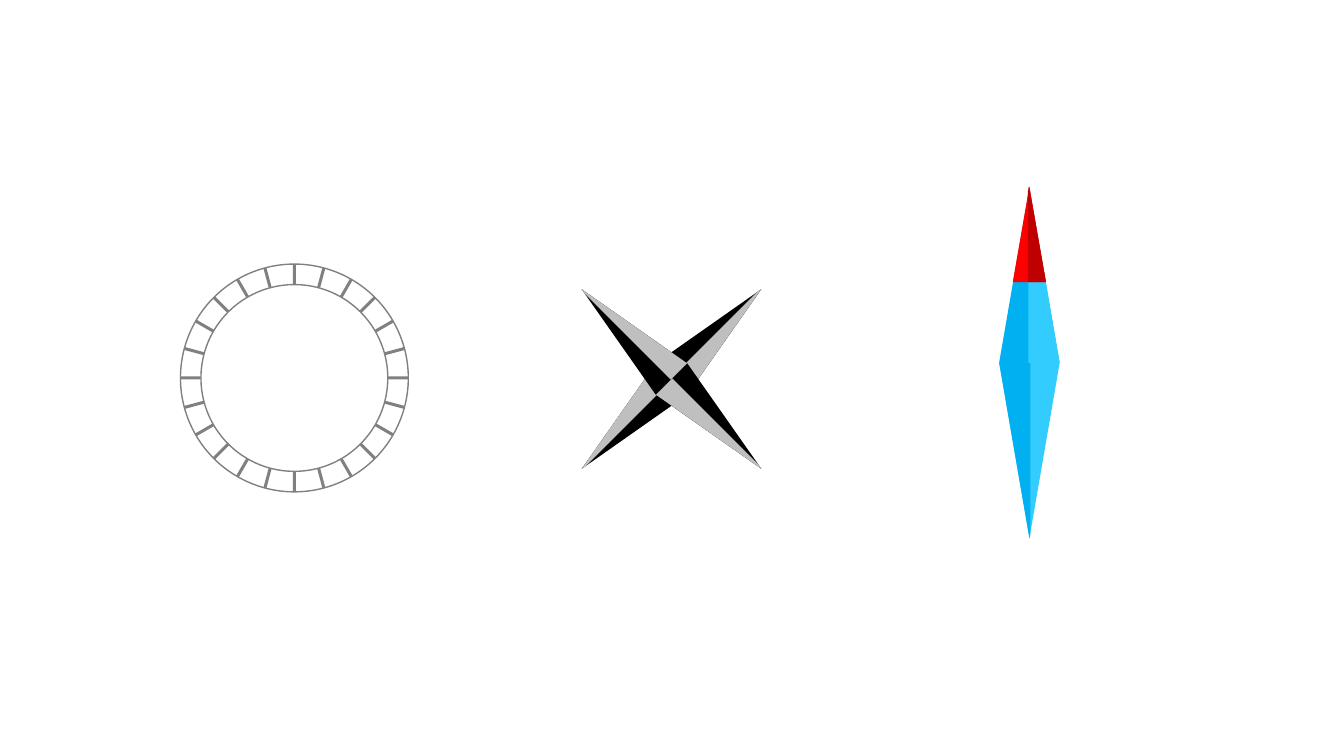
"""Build a slide with the parts of a compass: dial, star and needle."""
from dataclasses import dataclass
from math import cos, radians, sin
from typing import Any

from pptx import Presentation
from pptx import util as u
from pptx.dml import color
from pptx.enum import shapes
from pptx.shapes.autoshape import Shape
from pptx.shapes.shapetree import GroupShapes

Point = tuple[float, float]

GREY, SILVER, BLACK = "808080", "BFBFBF", "000000"
BLUE, SKY, RED, CRIMSON = "00B0F0", "33CCFF", "FF0000", "C00000"

DIAL_CENTRE, DIAL_SIZE = (2.92, 3.75), 2.26
TICK_WIDTH, TICK_LENGTH, TICK_STEP = 0.03, 0.2, 15
STAR_HUB, NEEDLE_HUB, TIP_HUB = (6.66, 3.76), (10.21, 3.6), (10.21, 2.8)
RIDGE_OVERLAP, RIDGE_NOTCH = 0.01, 0.05


@dataclass(frozen=True)
class Blade:
    """A triangle pointing away from a hub, with its right half shaded."""
    hub: Point
    angle: float
    width: float
    length: float
    shade_width: float
    body_color: str
    shade_color: str


STAR = [Blade(STAR_HUB, angle, 0.44, 1.26, 0.23, BLACK, SILVER)
        for angle in (45, 225, 135, 315)]
NEEDLE = [
    Blade(NEEDLE_HUB, 0, 0.6, 1.74, 0.31, BLUE, SKY),
    Blade(NEEDLE_HUB, 180, 0.6, 1.74, 0.31, SKY, BLUE),
    Blade(TIP_HUB, 0, 0.33, 0.95, 0.18, RED, CRIMSON),
]


def rgb(value: str) -> color.RGBColor:
    """Turn a hex string into a colour."""
    return color.RGBColor.from_string(value)


def apply(target: Any, formats: dict[str, Any]) -> None:
    """Set each format value on the target."""
    for name, value in formats.items():
        setattr(target, name, value)


def paint(shape: Shape, fill: str, angle: float) -> None:
    """Give a shape a flat fill, no outline and a rotation."""
    shape.fill.solid()
    shape.line.fill.background()
    apply(shape, {"rotation": angle})
    apply(shape.shadow, {"inherit": False})
    apply(shape.fill.fore_color, {"rgb": rgb(fill)})


def add_outline(group: GroupShapes, centre: Point, contours: list[list[Point]],
                fill: str, angle: float) -> None:
    """Add closed contours, given relative to the centre, and rotate them."""
    placed = [[(u.Inches(centre[0] + x), u.Inches(centre[1] + y))
               for x, y in contour] for contour in contours]
    builder = group.build_freeform(*placed[0][0])
    builder.add_line_segments(placed[0][1:])
    for contour in placed[1:]:
        builder.move_to(*contour[0])
        builder.add_line_segments(contour[1:])
    paint(builder.convert_to_shape(), fill, angle)


def add_dial(group: GroupShapes) -> None:
    """Add pairs of opposite ticks and the ring around them."""
    half, radius = TICK_WIDTH / 2, DIAL_SIZE / 2
    inner = radius - TICK_LENGTH
    ticks = [[(-half, start), (half, start), (half, end), (-half, end)]
             for start, end in ((inner, radius), (-radius, -inner))]
    for angle in range(0, 180, TICK_STEP):
        add_outline(group, DIAL_CENTRE, ticks, GREY, angle)
    left, top = (value - radius for value in DIAL_CENTRE)
    ring = group.add_shape(shapes.MSO_SHAPE.DONUT, u.Inches(left), u.Inches(top),
                           u.Inches(DIAL_SIZE), u.Inches(DIAL_SIZE))
    ring.adjustments[0] = 0.09
    ring.fill.background()
    apply(ring.shadow, {"inherit": False})
    apply(ring.line.color, {"rgb": rgb(GREY)})
    apply(ring.line, {"width": u.Pt(1)})


def add_blade(group: GroupShapes, blade: Blade) -> None:
    """Add the body of a blade and the shade on its right half."""
    turn = radians(blade.angle)
    reach = blade.length / 2
    x = blade.hub[0] + reach * sin(turn)
    y = blade.hub[1] - reach * cos(turn)
    body = group.add_shape(
        shapes.MSO_SHAPE.ISOSCELES_TRIANGLE,
        u.Inches(x - blade.width / 2), u.Inches(y - reach),
        u.Inches(blade.width), u.Inches(blade.length))
    paint(body, blade.body_color, blade.angle)

    half = blade.shade_width / 2
    shift = blade.width / 2 - half
    shade = [(RIDGE_OVERLAP - half, -reach), (half, reach),
             (-half, reach), (-half, RIDGE_NOTCH - reach)]
    centre = (x + shift * cos(turn), y + shift * sin(turn))
    add_outline(group, centre, [shade], blade.shade_color, blade.angle)


def main() -> None:
    """Draw the three compass parts and save the deck."""
    deck = Presentation()
    deck.slide_width, deck.slide_height = u.Inches(13.33), u.Inches(7.5)
    page = deck.slides.add_slide(deck.slide_layouts[6])
    add_dial(page.shapes.add_group_shape().shapes)
    for blades in (STAR, NEEDLE):
        group = page.shapes.add_group_shape().shapes
        for blade in blades:
            add_blade(group, blade)
    deck.save("out.pptx")


if __name__ == "__main__":
    main()
